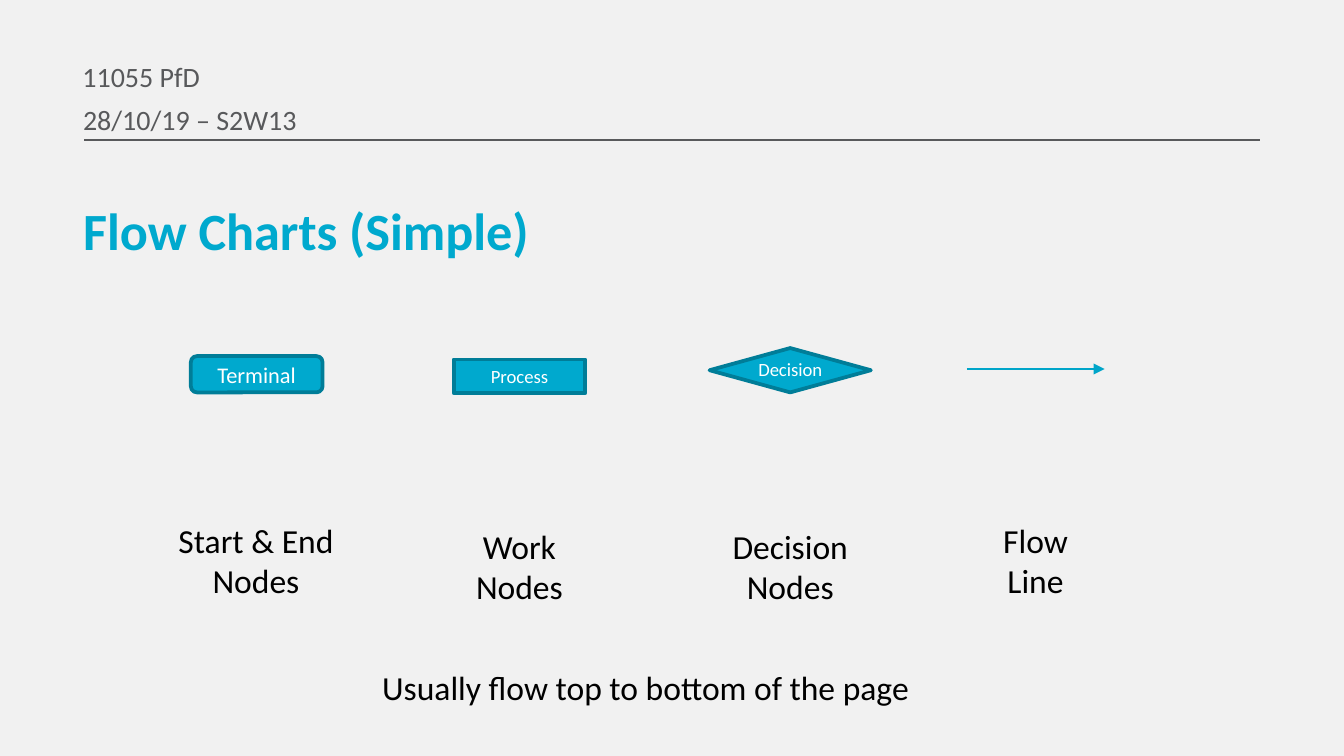
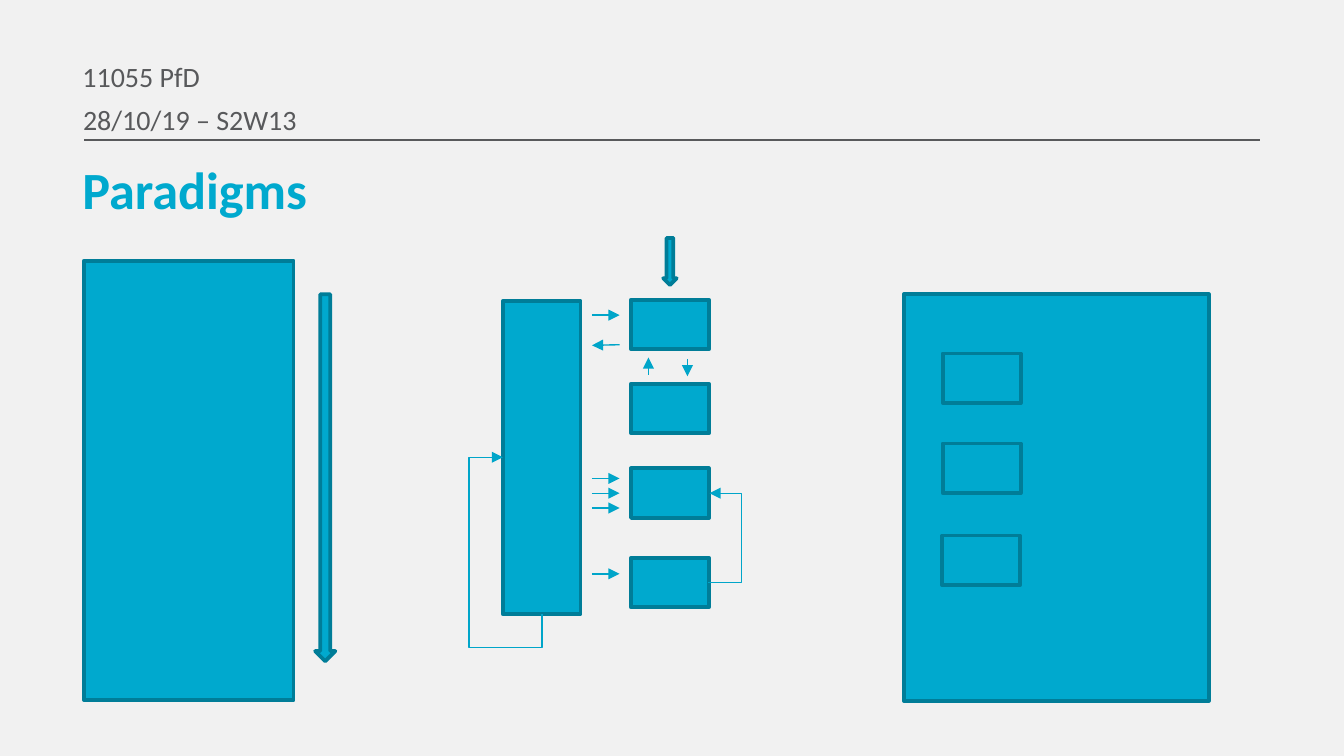
from dataclasses import dataclass
from typing import Optional, Union

from lxml import etree
from pptx import Presentation
from pptx.dml.color import RGBColor
from pptx.enum.shapes import MSO_CONNECTOR, MSO_SHAPE
from pptx.enum.text import MSO_ANCHOR, MSO_AUTO_SIZE, PP_ALIGN
from pptx.oxml.ns import qn
from pptx.shapes.autoshape import Shape
from pptx.shapes.connector import Connector
from pptx.shapes.shapetree import GroupShapes, SlideShapes
from pptx.slide import Slide
from pptx.text.text import TextFrame
from pptx.util import Inches, Pt

RECT, ROUNDED = MSO_SHAPE.RECTANGLE, MSO_SHAPE.ROUNDED_RECTANGLE
DIAMOND, DOWN_ARROW = MSO_SHAPE.DIAMOND, MSO_SHAPE.DOWN_ARROW
STRAIGHT, ELBOW = MSO_CONNECTOR.STRAIGHT, MSO_CONNECTOR.ELBOW
LEFT, CENTER = PP_ALIGN.LEFT, PP_ALIGN.CENTER
MIDDLE = MSO_ANCHOR.MIDDLE
GROW = MSO_AUTO_SIZE.SHAPE_TO_FIT_TEXT

SLIDE_WIDTH = Inches(10)
SLIDE_HEIGHT = SLIDE_WIDTH * 9 // 16
CELL = SLIDE_WIDTH / 100  # side of a square grid cell; 100 columns across

Canvas = Union[SlideShapes, GroupShapes]
Point = tuple[float, float]


@dataclass(frozen=True)
class TextStyle:
    size: float
    color: RGBColor
    bold: bool = False
    line_spacing: Optional[float] = None


@dataclass(frozen=True)
class Theme:
    font: str = "Calibri"
    background: RGBColor = RGBColor(0xF1, 0xF1, 0xF1)
    fill: RGBColor = RGBColor(0x00, 0xA9, 0xCE)
    outline: RGBColor = RGBColor(0x00, 0x7D, 0x98)
    flow: RGBColor = RGBColor(0x00, 0xA5, 0xC9)
    gray: RGBColor = RGBColor(0x58, 0x59, 0x5B)
    black: RGBColor = RGBColor(0, 0, 0)
    white: RGBColor = RGBColor(0xFF, 0xFF, 0xFF)
    outline_width: float = 2
    line_width: float = 0.75

    def title(self) -> TextStyle:
        return TextStyle(28, self.fill, bold=True, line_spacing=0.7)

    def header(self) -> TextStyle:
        return TextStyle(15, self.gray)

    def body(self) -> TextStyle:
        return TextStyle(18, self.black)

    def node(self, size: float) -> TextStyle:
        return TextStyle(size, self.white)


THEME = Theme()


@dataclass(frozen=True)
class Box:
    """A rectangle in grid cells."""
    left: float
    top: float
    width: float
    height: float

    def emu(self) -> tuple[int, ...]:
        return tuple(round(v * CELL) for v in (self.left, self.top, self.width, self.height))


@dataclass(frozen=True)
class LegendNode:
    kind: MSO_SHAPE
    box: Box
    name: str = ""
    size: float = 10


@dataclass(frozen=True)
class Caption:
    text: str
    box: Box


@dataclass(frozen=True)
class Elbow:
    """A bent arrow; bends are shares of its unrotated frame."""
    start: Point
    end: Point
    bends: tuple[float, ...]
    preset: str = "bentConnector3"
    quarter_turns: int = 0


LEGEND_NODES = (
    LegendNode(ROUNDED, Box(14.2, 26.5, 9.8, 2.7), "Terminal", 12),
    LegendNode(RECT, Box(33.75, 26.75, 9.8, 2.5), "Process"),
    LegendNode(DIAMOND, Box(52.8, 25.9, 12, 3.3)),
)
LEGEND_CAPTIONS = (
    Caption("Start & End\nNodes", Box(11.9, 38.2, 14.3, 7.1)),
    Caption("Work\nNodes", Box(33.05, 38.65, 11.2, 7.1)),
    Caption("Decision\nNodes", Box(53.2, 38.65, 11.2, 7.1)),
    Caption("Flow\nLine", Box(71.45, 38.2, 11.2, 7.1)),
)

MODULE_LEFT, MODULE_WIDTH, MODULE_HEIGHT = 46.95, 5.8, 3.7
MODULE_TOPS = (22.3, 28.55, 34.85, 41.5)
CALL_LEFT, CALL_RIGHT = 44.05, 46.1
CALL_ROWS = (23.45, 35.6, 36.7, 37.8, 42.7)
REPLIES = (
    ((51.15, 26.7), (51.15, 28)),
    ((48.25, 27.9), (48.25, 26.6)),
    ((CALL_RIGHT, 25.65), (CALL_LEFT, 25.7)),
)
LOOPS = (
    Elbow((52.7, 43.35), (52.8, 36.7), (25,)),
    Elbow((44.7, 38.4), (33.05, 41.3), (-0.215, 1.867), "bentConnector4", 1),
)
OBJECT_CORNERS = ((70.15, 26.3), (70.15, 33), (70.1, 39.85))


def format_text(frame: TextFrame, text: str, style: TextStyle, align: PP_ALIGN) -> None:
    frame.text = text
    for paragraph in frame.paragraphs:
        paragraph.alignment = align
        if style.line_spacing:
            paragraph.line_spacing = style.line_spacing
        for run in paragraph.runs:
            run.font.name = THEME.font
            run.font.size = Pt(style.size)
            run.font.bold = style.bold
            run.font.color.rgb = style.color


def add_text(canvas: Canvas, box: Box, text: str, style: TextStyle,
             align: PP_ALIGN = LEFT, wrap: bool = True, grow: bool = False) -> None:
    frame = canvas.add_textbox(*box.emu()).text_frame
    frame.word_wrap = wrap
    if grow:
        frame.auto_size = GROW
    format_text(frame, text, style, align)


def add_block(canvas: Canvas, kind: MSO_SHAPE, box: Box) -> Shape:
    block = canvas.add_shape(kind, *box.emu())
    block.shadow.inherit = False
    block.fill.solid()
    block.fill.fore_color.rgb = THEME.fill
    block.line.color.rgb = THEME.outline
    block.line.width = Pt(THEME.outline_width)
    return block


def add_line(canvas: Canvas, start: Point, end: Point, color: RGBColor = THEME.flow,
             arrow: bool = True, kind: MSO_CONNECTOR = STRAIGHT) -> Connector:
    line = canvas.add_connector(kind, *(round(v * CELL) for v in (*start, *end)))
    line.line.color.rgb = color
    line.line.width = Pt(THEME.line_width)
    properties = line._element.spPr
    if arrow:
        etree.SubElement(properties.find(qn("a:ln")), qn("a:tailEnd"), type="triangle")
    etree.SubElement(properties, qn("a:effectLst"))
    return line


def add_elbow(canvas: Canvas, elbow: Elbow) -> None:
    properties = add_line(canvas, elbow.start, elbow.end, kind=ELBOW)._element.spPr
    if elbow.quarter_turns:
        properties.find(qn("a:xfrm")).set("rot", str(elbow.quarter_turns * 5400000))
    geometry = properties.find(qn("a:prstGeom"))
    geometry.set("prst", elbow.preset)
    guides = geometry.find(qn("a:avLst"))
    for number, bend in enumerate(elbow.bends, start=1):
        etree.SubElement(guides, qn("a:gd"), name=f"adj{number}",
                         fmla=f"val {round(bend * 100000)}")


def add_titled_slide(deck: Presentation, title: str, title_box: Box) -> Slide:
    """Add a blank slide with the shared background, header, rule and title."""
    slide = deck.slides.add_slide(deck.slide_layouts[6])
    slide.background.fill.solid()
    slide.background.fill.fore_color.rgb = THEME.background
    add_line(slide.shapes, (93.75, 10.42), (6.25, 10.42), THEME.gray, arrow=False)
    add_text(slide.shapes, title_box, title, THEME.title())
    add_text(slide.shapes, Box(5.15, 3.9, 69.8, 2.5), "11055 PfD", THEME.header())
    add_text(slide.shapes, Box(5.2, 7.15, 69.7, 2.3), "28/10/19 – S2W13", THEME.header())
    return slide


def build_flow_charts(deck: Presentation) -> None:
    canvas = add_titled_slide(deck, "Flow Charts (Simple)", Box(5.2, 15.55, 88.6, 4.2)).shapes
    add_line(canvas, (71.95, 27.46), (82.2, 27.46))
    for node in LEGEND_NODES:
        block = add_block(canvas, node.kind, node.box)
        if node.name:
            block.text_frame.vertical_anchor = MIDDLE
            format_text(block.text_frame, node.name, THEME.node(node.size), CENTER)
    add_text(canvas, Box(55.4, 26.15, 6.8, 2.7), "Decision", THEME.node(10),
             CENTER, wrap=False, grow=True)
    for caption in LEGEND_CAPTIONS:
        add_text(canvas, caption.box, caption.text, THEME.body(), CENTER, grow=True)
    add_text(canvas, Box(27.45, 49.15, 61.2, 4), "Usually flow top to bottom of the page",
             THEME.body(), grow=True)


def draw_sequential(canvas: Canvas) -> None:
    add_block(canvas, RECT, Box(6.25, 19.4, 15.6, 32.7))
    add_block(canvas, DOWN_ARROW, Box(23.45, 21.9, 1.5, 27.3))


def draw_modular(canvas: Canvas) -> None:
    add_block(canvas, RECT, Box(37.4, 22.4, MODULE_WIDTH, 23.3))
    for top in MODULE_TOPS:
        add_block(canvas, RECT, Box(MODULE_LEFT, top, MODULE_WIDTH, MODULE_HEIGHT))
    for row in CALL_ROWS:
        add_line(canvas, (CALL_LEFT, row), (CALL_RIGHT, row))
    for start, end in REPLIES:
        add_line(canvas, start, end)
    for loop in LOOPS:
        add_elbow(canvas, loop)
    add_block(canvas, DOWN_ARROW, Box(49.35, 17.7, 1, 3.5))


def draw_object_oriented(canvas: Canvas) -> None:
    add_block(canvas, RECT, Box(67.25, 21.9, 22.7, 30.25))
    for left, top in OBJECT_CORNERS:
        add_block(canvas, RECT, Box(left, top, MODULE_WIDTH, MODULE_HEIGHT))


def build_paradigms(deck: Presentation) -> None:
    slide = add_titled_slide(deck, "Paradigms", Box(5.15, 12.5, 88.6, 4.2))
    for draw in (draw_sequential, draw_modular, draw_object_oriented):
        draw(slide.shapes.add_group_shape().shapes)


def main() -> None:
    deck = Presentation()
    deck.slide_width, deck.slide_height = SLIDE_WIDTH, SLIDE_HEIGHT
    build_flow_charts(deck)
    build_paradigms(deck)
    deck.save("out.pptx")


if __name__ == "__main__":
    main()
